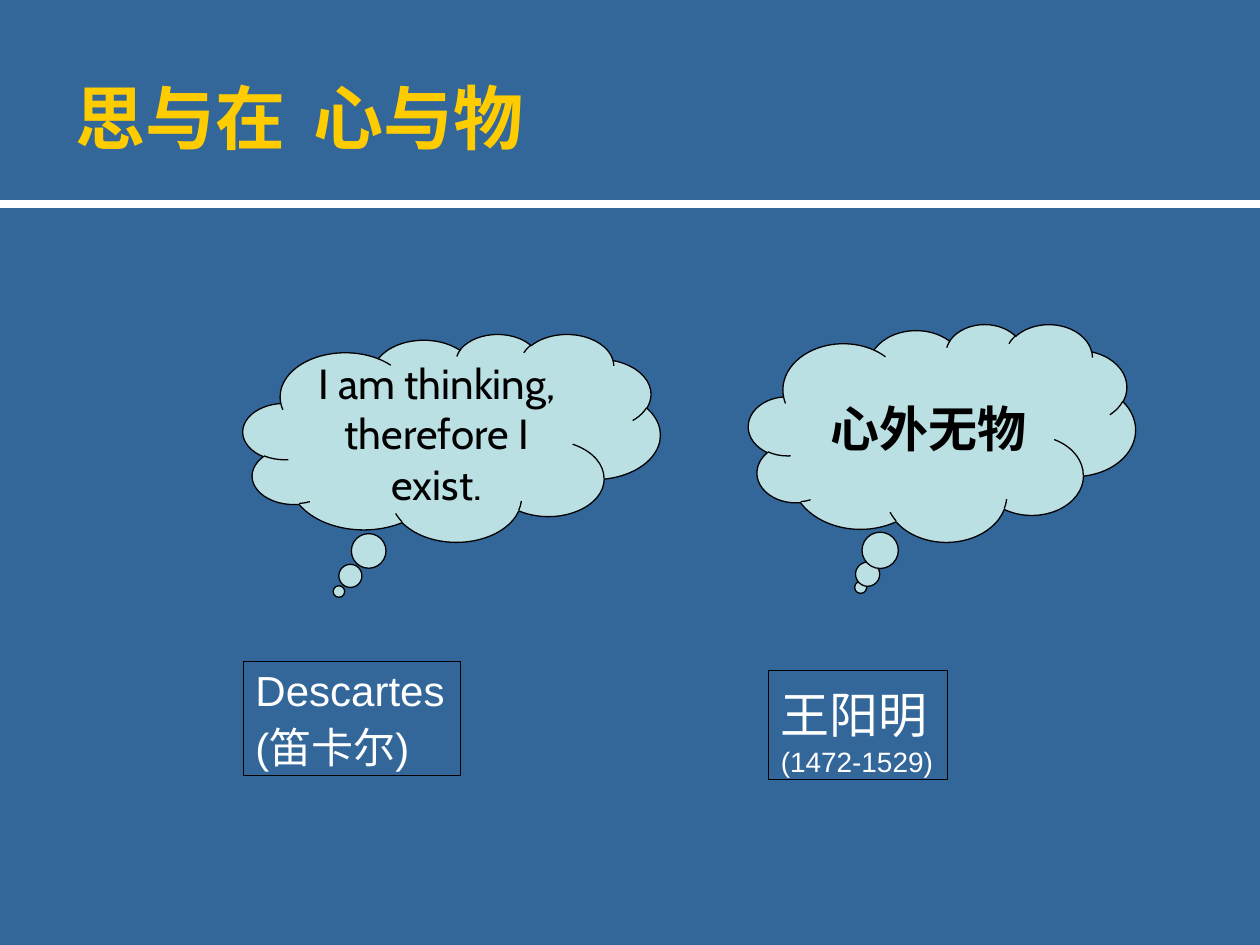
"""Build a slide that sets thinking and being beside mind and things."""
from dataclasses import dataclass

import lxml.etree
import pptx
import pptx.dml.color
import pptx.enum.shapes
import pptx.enum.text
import pptx.oxml
import pptx.oxml.ns
import pptx.util

Cm = pptx.util.Cm
Pt = pptx.util.Pt
ANCHOR = pptx.enum.text.MSO_ANCHOR
ALIGN = pptx.enum.text.PP_ALIGN

COLORS = {
    "background": "336699",
    "title": "FFCC00",
    "light": "FFFFFF",
    "dark": "000000",
    "cloud": "BBE0E3",
}
MARGINS = {
    "margin_left": Cm(0.25),
    "margin_right": Cm(0.25),
    "margin_top": Cm(0.13),
    "margin_bottom": Cm(0.13),
}


@dataclass(frozen=True)
class Box:
    left: float
    top: float
    width: float
    height: float

    def lengths(self) -> tuple:
        return tuple(Cm(value) for value in (self.left, self.top, self.width, self.height))


@dataclass(frozen=True)
class Words:
    text: str
    size: int
    color: str
    font: str = "Arial"
    bold: bool = False


@dataclass(frozen=True)
class Thought:
    box: Box
    tail: tuple[float, float]
    words: Words


@dataclass(frozen=True)
class Thinker:
    box: Box
    words: tuple[Words, ...]


THOUGHTS = (
    Thought(Box(4.9, 6.73, 8.41, 4.19), (-0.27, 0.74),
            Words("I am thinking, therefore I exist.", 24, "dark", "Cabin")),
    Thought(Box(15.09, 6.53, 7.8, 4.39), (-0.21, 0.71),
            Words("心外无物", 28, "dark", "Cabin", True)),
)
THINKERS = (
    Thinker(Box(4.9, 13.34, 4.39, 2.29), (Words("Descartes(笛卡尔)", 24, "light"),)),
    Thinker(Box(15.49, 13.51, 3.61, 2.21),
            (Words("王阳明", 28, "light"), Words("(1472-1529)", 16, "light"))),
)


def rgb(name: str) -> pptx.dml.color.RGBColor:
    return pptx.dml.color.RGBColor.from_string(COLORS[name])


def apply_format(target, values: dict) -> None:
    for name, value in values.items():
        setattr(target, name, value)


def add_words(paragraph, words: Words) -> None:
    run = paragraph.add_run()
    run.text = words.text
    apply_format(run.font, {"name": words.font, "size": Pt(words.size), "bold": words.bold})
    run.font.color.rgb = rgb(words.color)


def add_title(slide, box: Box, words: Words, gap_stop: float) -> None:
    frame = slide.shapes.add_textbox(*box.lengths()).text_frame
    apply_format(frame, {**MARGINS, "word_wrap": True, "vertical_anchor": ANCHOR.MIDDLE})
    paragraph = frame.paragraphs[0]
    properties = paragraph._p.get_or_add_pPr()
    tabs = lxml.etree.SubElement(properties, pptx.oxml.ns.qn("a:tabLst"))
    lxml.etree.SubElement(tabs, pptx.oxml.ns.qn("a:tab"), pos=str(Cm(gap_stop)), algn="l")
    add_words(paragraph, words)


def add_rule(slide, width: int, top: float) -> None:
    rule = slide.shapes.add_connector(
        pptx.enum.shapes.MSO_CONNECTOR.STRAIGHT, 0, Cm(top), width, Cm(top))
    rule.line.color.rgb = rgb("light")
    rule.line.width = Pt(4.5)
    lxml.etree.SubElement(rule._element.spPr, pptx.oxml.ns.qn("a:effectLst"))


def add_thought(slide, thought: Thought) -> None:
    shape = slide.shapes.add_shape(
        pptx.enum.shapes.MSO_SHAPE.CLOUD_CALLOUT, *thought.box.lengths())
    shape.shadow.inherit = False
    for index, value in enumerate(thought.tail):
        shape.adjustments[index] = value
    shape.fill.solid()
    shape.fill.fore_color.rgb = rgb("cloud")
    shape.line.color.rgb = rgb("dark")
    shape.line.width = Pt(0.75)
    frame = shape.text_frame
    apply_format(frame, {**MARGINS, "word_wrap": True, "vertical_anchor": ANCHOR.MIDDLE})
    paragraph = frame.paragraphs[0]
    paragraph.alignment = ALIGN.CENTER
    add_words(paragraph, thought.words)


def add_borders(cell) -> None:
    namespace = pptx.oxml.ns.nsdecls("a")
    properties = cell._tc.get_or_add_tcPr()
    for index, side in enumerate("LRTB"):
        properties.insert(index, pptx.oxml.parse_xml(
            f'<a:ln{side} {namespace} w="{Pt(0.45)}"><a:solidFill>'
            f'<a:srgbClr val="{COLORS["dark"]}"/></a:solidFill></a:ln{side}>'))


def add_thinker(slide, thinker: Thinker) -> None:
    table = slide.shapes.add_table(1, 1, *thinker.box.lengths()).table
    apply_format(table, {"first_row": False, "horz_banding": False})
    cell = table.cell(0, 0)
    apply_format(cell, {**MARGINS, "vertical_anchor": ANCHOR.TOP})
    cell.fill.background()
    add_borders(cell)
    for words in thinker.words:
        add_words(cell.text_frame.paragraphs[0], words)


def main() -> None:
    presentation = pptx.Presentation()
    apply_format(presentation, {"slide_width": Cm(25.4), "slide_height": Cm(19.05)})
    slide = presentation.slides.add_slide(presentation.slide_layouts[6])
    slide.background.fill.solid()
    slide.background.fill.fore_color.rgb = rgb("background")
    add_rule(slide, presentation.slide_width, 4.12)
    add_title(slide, Box(1.27, 0.76, 22.86, 3.18),
              Words("思与在\t心与物", 40, "title", bold=True), 4.8)
    for thought in THOUGHTS:
        add_thought(slide, thought)
    for thinker in THINKERS:
        add_thinker(slide, thinker)
    presentation.save("out.pptx")


if __name__ == "__main__":
    main()
